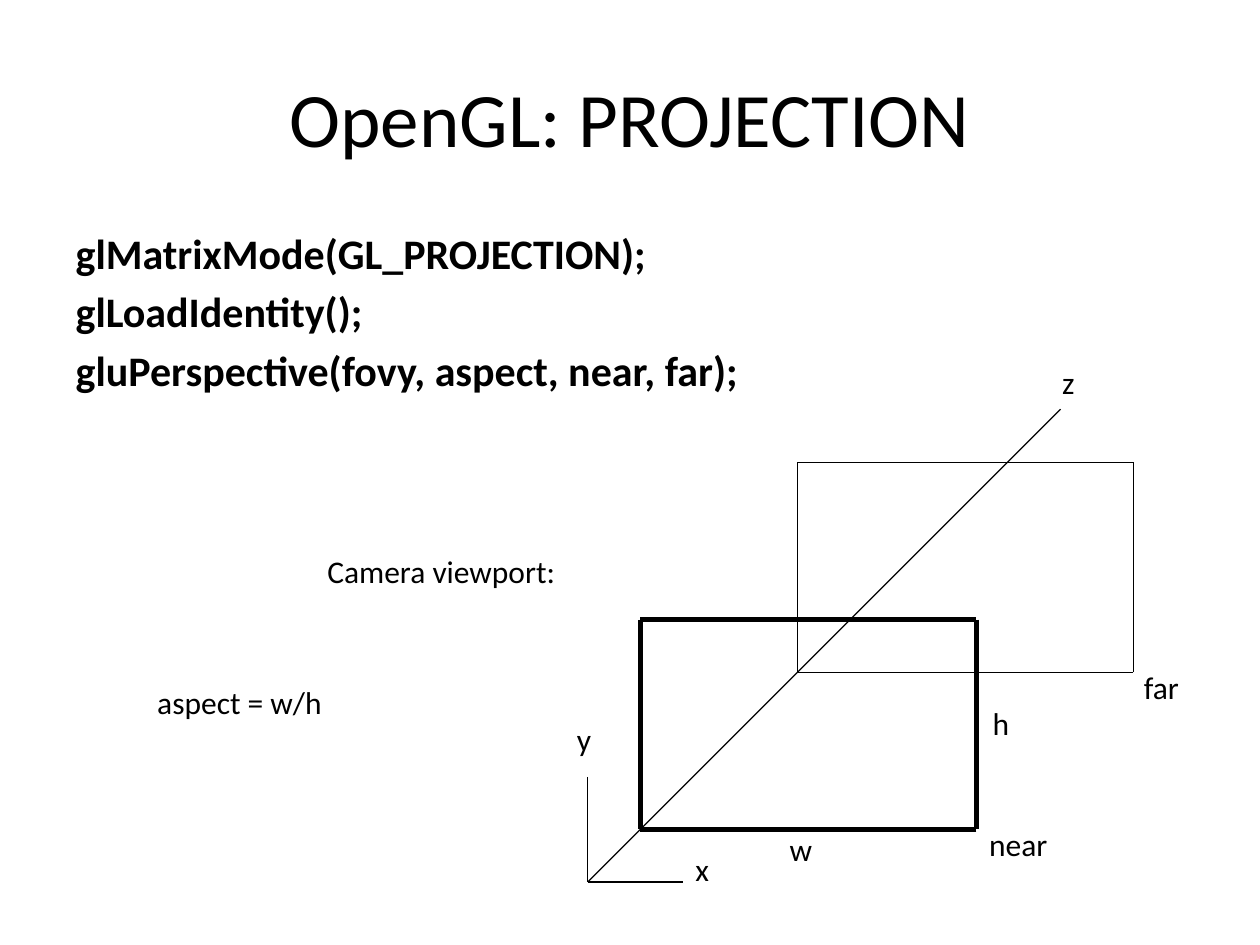
import pptx
import pptx.dml.color
import pptx.enum.shapes
import pptx.enum.text
import pptx.util
import lxml.etree
from pptx.util import Cm, Pt

FONT = "Calibri"
BLACK = "000000"
THIN, THICK = 0.75, 3

# Geometry of the view volume, in cm
ORIGIN = (11.85, 17.78)
NEAR_STEP, FAR_STEP, Z_LEN = 1.06, 4.23, 9.53
X_LEN, Y_LEN = 1.91, 2.12
WIDTH, HEIGHT = 6.77, 4.23

CODE = [
    "glMatrixMode(GL_PROJECTION);",
    "glLoadIdentity();",
    "gluPerspective(fovy, aspect, near, far);",
]

# Text, left, top, width in cm
LABELS = [
    ("Camera viewport:", 6.35, 11.0, 7.14),
    ("x", 13.77, 17.02, 0.94),
    ("y", 11.38, 14.4, 0.94),
    ("z", 21.16, 7.19, 0.89),
    ("near", 19.69, 16.51, 2.18),
    ("far", 22.81, 13.34, 1.52),
    ("h", 19.76, 14.07, 0.99),
    ("w", 15.67, 16.61, 1.14),
    ("aspect = w/h", 2.92, 13.64, 5.49),
]


def color(code):
    return pptx.dml.color.RGBColor.from_string(code)


def style(para, size, bold=False):
    font = para.font
    font.name, font.size, font.bold = FONT, Pt(size), bold
    font.color.rgb = color(BLACK)


def place(shape, left, top, width, height):
    shape.left, shape.top = Cm(left), Cm(top)
    shape.width, shape.height = Cm(width), Cm(height)


def add_title(slide, text):
    title = slide.shapes.title
    place(title, 1.27, 0.76, 22.86, 3.18)
    title.text_frame.text = text
    title.text_frame.vertical_anchor = pptx.enum.text.MSO_ANCHOR.MIDDLE
    para = title.text_frame.paragraphs[0]
    para.alignment = pptx.enum.text.PP_ALIGN.CENTER
    style(para, 44)


def add_code(slide, lines):
    body = slide.placeholders[1]
    place(body, 1.27, 4.45, 22.86, 12.57)
    body.text_frame.text = "\n".join(lines)
    for para in body.text_frame.paragraphs:
        props = para._p.get_or_add_pPr()
        lxml.etree.SubElement(props, pptx.oxml.ns.qn("a:buNone"))
        style(para, 24, bold=True)
    body.text_frame.paragraphs[0].space_before = Pt(0)


def add_label(slide, text, left, top, width):
    box = slide.shapes.add_textbox(Cm(left), Cm(top), Cm(width), Cm(1.27))
    box.text_frame.word_wrap = True
    box.text_frame.text = text
    style(box.text_frame.paragraphs[0], 18)


def add_line(slide, start, end, weight=THIN):
    kind = pptx.enum.shapes.MSO_CONNECTOR.STRAIGHT
    line = slide.shapes.add_connector(kind, *map(Cm, start + end))
    line.line.color.rgb = color(BLACK)
    line.line.width = Pt(weight)
    props = line._element.spPr
    lxml.etree.SubElement(props, pptx.oxml.ns.qn("a:effectLst"))


def along(step):
    """Point on the z axis, which rises at 45 degrees."""
    return ORIGIN[0] + step, ORIGIN[1] - step


def add_plane(slide, step, weight):
    left, base = along(step)
    right, top = left + WIDTH, base - HEIGHT
    ends = [(left, top), (right, top), (right, base), (left, base)]
    for start, end in zip(ends, ends[1:] + ends[:1]):
        add_line(slide, start, end, weight)


def main():
    deck = pptx.Presentation()
    deck.slide_width, deck.slide_height = Cm(25.4), Cm(19.05)
    slide = deck.slides.add_slide(deck.slide_layouts[1])

    # Title and code
    add_title(slide, "OpenGL: PROJECTION")
    add_code(slide, CODE)

    # Near plane, axes, far plane
    add_plane(slide, NEAR_STEP, THICK)
    x, y = ORIGIN
    add_line(slide, (x, y - Y_LEN), ORIGIN)
    add_line(slide, ORIGIN, (x + X_LEN, y))
    add_line(slide, ORIGIN, along(Z_LEN))
    add_plane(slide, FAR_STEP, THIN)

    # Labels
    for label in LABELS:
        add_label(slide, *label)

    deck.save("out.pptx")


if __name__ == "__main__":
    main()
